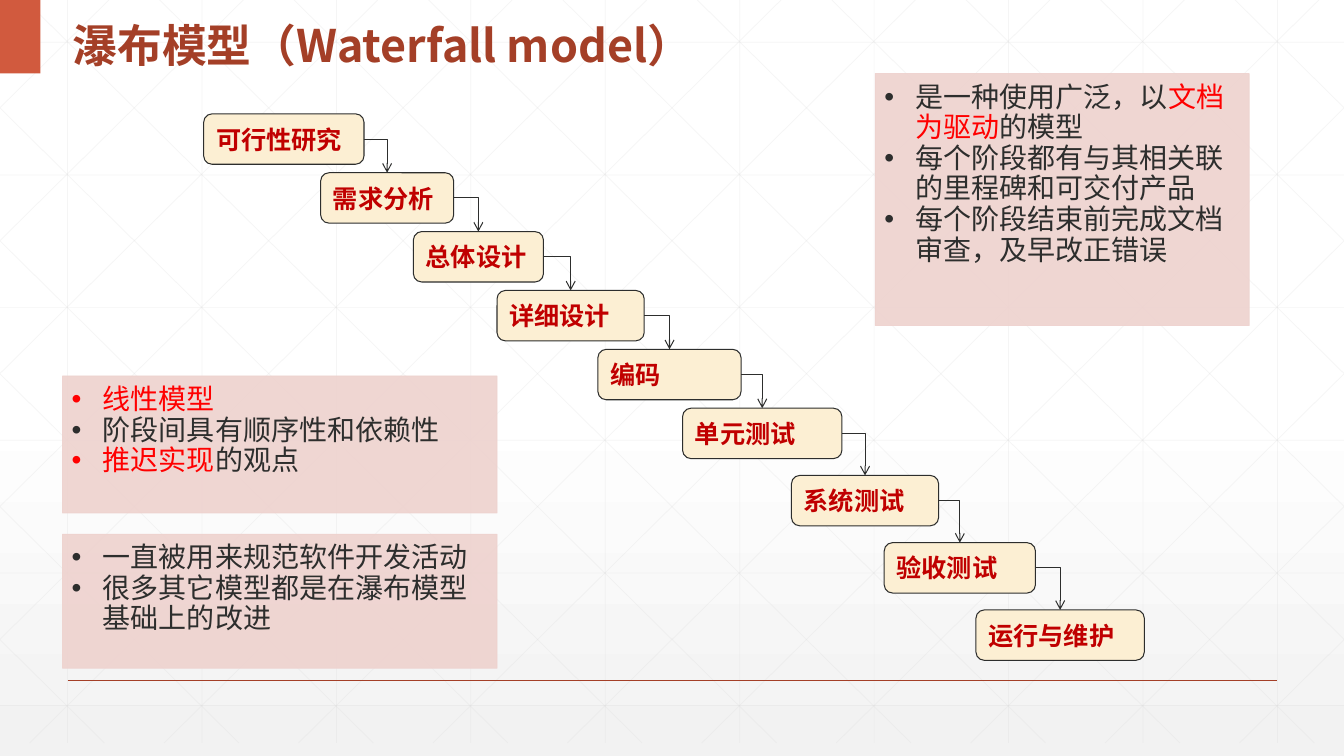
from dataclasses import dataclass

from lxml.etree import SubElement
from pptx import Presentation
from pptx.dml.color import RGBColor
from pptx.enum.shapes import MSO_CONNECTOR, MSO_SHAPE
from pptx.enum.text import MSO_ANCHOR, PP_ALIGN
from pptx.oxml.ns import qn
from pptx.util import Inches, Pt


@dataclass(frozen=True)
class Theme:
    rust: str = "A43F27"
    tab: str = "D15A3E"
    ink: str = "2D2E2D"
    red: str = "FF0000"
    step: str = "C00000"
    cream: str = "FCEFD3"
    pink: str = "EED2CE"
    grid: str = "D9D9D9"
    white: str = "FFFFFF"
    mist: str = "F2F2F2"
    sans: str = "Noto Sans CJK SC"
    arial: str = "Arial"
    serif: str = "Times New Roman"
    title: int = 32
    body: int = 20
    label: int = 18


THEME = Theme()
WIDTH, HEIGHT = 13.33, 7.5
GRID_END = 7.37
PITCH = 4 / 3

# Label, left and width of each phase, in order
PHASES = [
    ("可行性研究", 2.02, 1.59),
    ("需求分析", 3.18, 1.32),
    ("总体设计", 4.1, 1.29),
    ("详细设计", 4.93, 1.46),
    ("编码", 5.93, 1.42),
    ("单元测试", 6.77, 1.58),
    ("系统测试", 7.85, 1.46),
    ("验收测试", 8.77, 1.5),
    ("运行与维护", 9.68, 1.67),
]

# Place, font and points of each panel; a point is a list of (text, is key)
PANELS = [
    ((0.62, 3.73, 4.31, 1.36), THEME.sans, [
        [("线性模型", True)],
        [("阶段间具有顺序性和依赖性", False)],
        [("推迟实现", True), ("的观点", False)],
    ]),
    ((8.68, 0.73, 3.71, 2.5), THEME.arial, [
        [("是一种使用广泛，以", False), ("文档为驱动", True), ("的模型", False)],
        [("每个阶段都有与其相关联的里程碑和可交付产品", False)],
        [("每个阶段结束前完成文档审查，及早改正错误", False)],
    ]),
    ((0.62, 5.3, 4.31, 1.33), THEME.arial, [
        [("一直被用来规范软件开发活动", False)],
        [("很多其它模型都是在瀑布模型基础上的改进", False)],
    ]),
]


def rgb(code):
    return RGBColor.from_string(code)


def fade(shape, percent):
    """Set the opacity of every colour in the shape's fill and line."""
    for color in shape._element.spPr.iter(qn("a:srgbClr")):
        SubElement(color, qn("a:alpha"), val=str(percent * 1000))


def style(para, face, size, color, bold=False):
    """Set the paragraph font, with one face for the Chinese text."""
    font = para.font
    font.name, font.size, font.bold = face, Pt(size), bold
    font.color.rgb = rgb(color)
    SubElement(font._element, qn("a:ea"), typeface=THEME.sans)


def add_box(slide, kind, place, fill, line=None, weight=0.75):
    box = slide.shapes.add_shape(kind, *map(Inches, place))
    box.shadow.inherit = False
    box.fill.solid()
    box.fill.fore_color.rgb = rgb(fill)
    if line:
        box.line.color.rgb = rgb(line)
        box.line.width = Pt(weight)
    else:
        box.line.fill.background()
    return box


def add_line(slide, start, end, color, weight, kind=MSO_CONNECTOR.STRAIGHT):
    line = slide.shapes.add_connector(kind, *map(Inches, (*start, *end)))
    line.line.color.rgb = rgb(color)
    line.line.width = Pt(weight)
    SubElement(line._element.spPr, qn("a:effectLst"))
    return line


def paint_back(slide):
    fill = slide.background.fill
    fill.gradient()
    fill.gradient_angle = 270
    stops = ((0.53, THEME.white), (1, THEME.mist))
    for stop, (place, color) in zip(fill.gradient_stops, stops):
        stop.position = place
        stop.color.rgb = rgb(color)


def add_grid(slide):
    """Draw faint upright, level and slanted lines, cut at the slide edges."""
    ends = []
    for i in range(10):
        x = 0.67 + PITCH * i
        ends.append(((x, 0), (x, GRID_END)))
    for i in range(6):
        y = 0.42 + 1.316 * i
        ends.append(((0, y), (WIDTH, y)))
    slope = 0.989
    for i in range(-5, 10):
        x = 0.25 + PITCH * i
        left = max(x, 0)
        right = min(x + GRID_END / slope, WIDTH)
        top, base = (left - x) * slope, (right - x) * slope
        ends.append(((left, top), (right, base)))
        ends.append(((WIDTH - left, top), (WIDTH - right, base)))
    for start, end in ends:
        fade(add_line(slide, start, end, THEME.grid, 0.5), 25)


def add_title(slide, text):
    box = slide.shapes.add_textbox(*map(Inches, (0.62, 0, 7.57, 0.73)))
    frame = box.text_frame
    frame.word_wrap = True
    frame.vertical_anchor = MSO_ANCHOR.MIDDLE
    para = frame.paragraphs[0]
    para.text = text
    para.line_spacing = 1.3
    style(para, THEME.sans, THEME.title, THEME.rust, True)


def add_phase(slide, index, label, left, width):
    # The last three phases drop a little further
    top = 1.13 + 0.584 * index + 0.083 * max(0, index - 5)
    place = (left, top, width, 0.5)
    box = add_box(slide, MSO_SHAPE.ROUNDED_RECTANGLE, place, THEME.cream, THEME.ink)
    para = box.text_frame.paragraphs[0]
    para.text = label
    para.alignment = PP_ALIGN.LEFT
    style(para, THEME.serif, THEME.label, THEME.step, True)
    return box


def add_link(slide, upper, lower):
    """Join the right of one phase to the top of the next."""
    link = add_line(slide, (0, 0), (1, 1), THEME.ink, 0.75, MSO_CONNECTOR.ELBOW)
    link.begin_connect(upper, 3)
    link.end_connect(lower, 0)
    props = link._element.spPr
    props.find(qn("a:prstGeom")).set("prst", "bentConnector2")
    SubElement(props.find(qn("a:ln")), qn("a:tailEnd"), type="arrow")


def add_panel(slide, place, face, points):
    box = add_box(slide, MSO_SHAPE.RECTANGLE, place, THEME.pink, THEME.pink, 0.5)
    fade(box, 90)
    frame = box.text_frame
    frame.vertical_anchor = MSO_ANCHOR.TOP
    frame.margin_left = frame.margin_top = Inches(0.09)
    frame.margin_right, frame.margin_bottom = Inches(0.12), Inches(0.14)
    for i, point in enumerate(points):
        para = frame.add_paragraph() if i else frame.paragraphs[0]
        para.alignment = PP_ALIGN.LEFT
        para.line_spacing = 0.91
        props = para._p.get_or_add_pPr()
        props.set("marL", str(Inches(0.31)))
        props.set("indent", str(Inches(-0.31)))
        SubElement(props, qn("a:buFont"), typeface=THEME.arial)
        SubElement(props, qn("a:buChar"), char="•")
        style(para, face, THEME.body, THEME.ink)
        for text, key in point:
            run = para.add_run()
            run.text = text
            if key:
                run.font.color.rgb = rgb(THEME.red)


def main():
    deck = Presentation()
    deck.slide_width, deck.slide_height = Inches(WIDTH), Inches(HEIGHT)
    slide = deck.slides.add_slide(deck.slide_layouts[6])
    paint_back(slide)
    add_grid(slide)
    add_line(slide, (0.67, 6.75), (12.67, 6.75), THEME.rust, 1)
    add_box(slide, MSO_SHAPE.RECTANGLE, (0, 0, 0.4, 0.73), THEME.tab)
    add_title(slide, "瀑布模型（Waterfall model）")
    boxes = [add_phase(slide, i, *phase) for i, phase in enumerate(PHASES)]
    for upper, lower in zip(boxes, boxes[1:]):
        add_link(slide, upper, lower)
    for panel in PANELS:
        add_panel(slide, *panel)
    deck.save("out.pptx")


if __name__ == "__main__":
    main()
